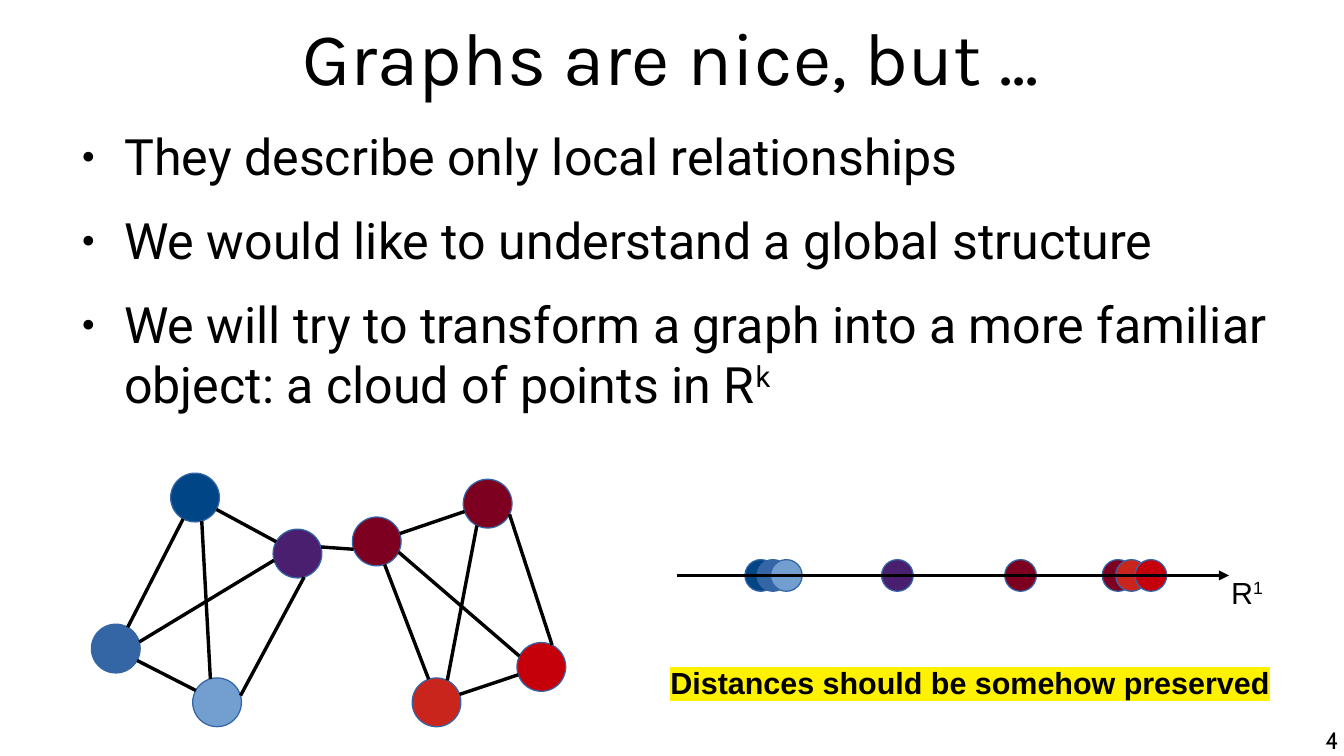
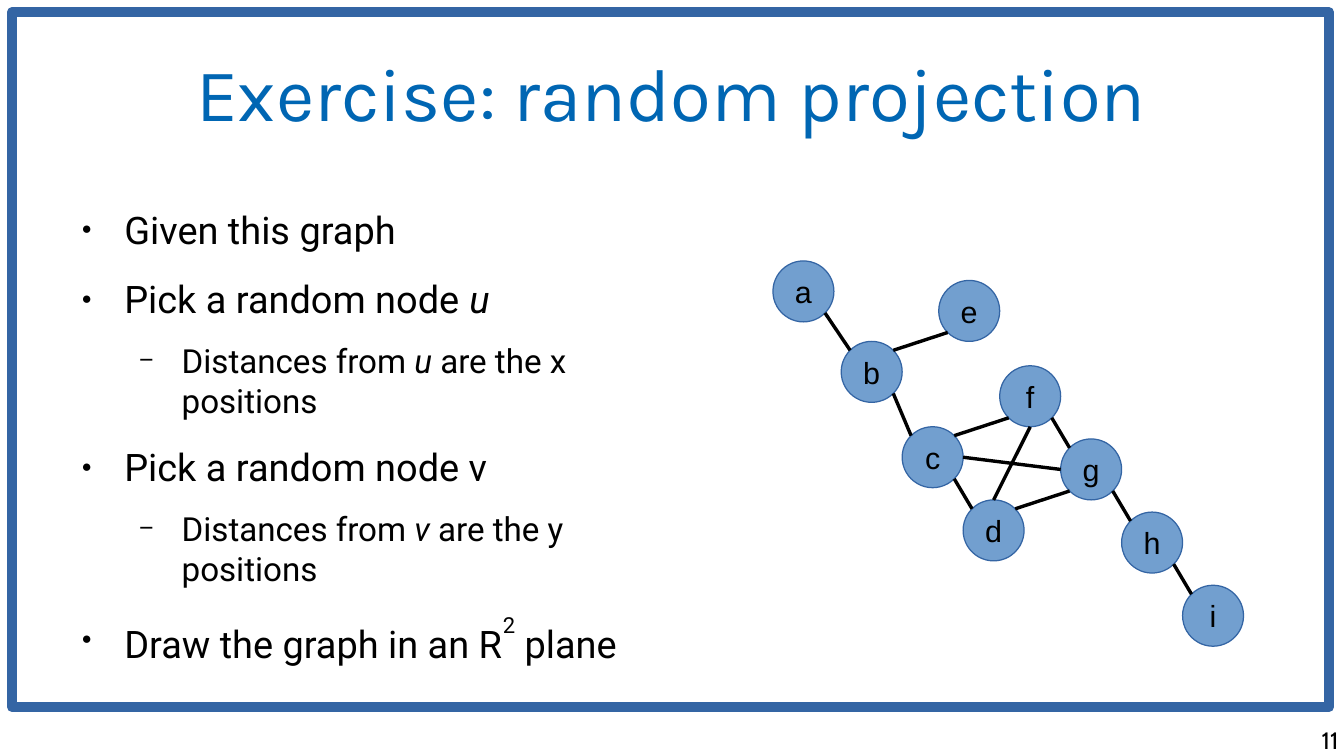
from math import cos, radians, sin

from lxml.etree import SubElement
from pptx import Presentation
from pptx.dml.color import RGBColor
from pptx.enum.shapes import MSO_CONNECTOR, MSO_SHAPE
from pptx.enum.text import MSO_ANCHOR, MSO_AUTO_SIZE, PP_ALIGN
from pptx.oxml.ns import qn
from pptx.util import Pt

COLORS = {
    "black": "000000", "heading": "0066B3", "highlight": "FFF200",
    "navy": "004586", "blue": "3465A4", "sky": "729FCF", "purple": "4B1F6F",
    "wine": "7E0021", "brick": "CA251C", "red": "C5000B",
}
TITLE_FONT = {"name": "Karla", "size": Pt(44)}
BODY_FONT = {"name": "Roboto"}
LABEL_FONT = {"name": "Arial", "size": Pt(18)}
NUMBER_FONT = {"name": "Cabin", "size": Pt(14)}

NO_INSETS = dict.fromkeys(
    ("margin_left", "margin_top", "margin_right", "margin_bottom"), 0)
LABEL_FRAME = {"word_wrap": False, "auto_size": MSO_AUTO_SIZE.SHAPE_TO_FIT_TEXT}
NODE_FRAME = {"word_wrap": False, "vertical_anchor": MSO_ANCHOR.MIDDLE}
TITLE_FRAME = {**NO_INSETS, "vertical_anchor": MSO_ANCHOR.MIDDLE,
               "auto_size": MSO_AUTO_SIZE.NONE}
BODY_FRAME = {**NO_INSETS, "vertical_anchor": MSO_ANCHOR.TOP,
              "auto_size": MSO_AUTO_SIZE.NONE}
NUMBER_FRAME = {**NO_INSETS, "word_wrap": True}

CONTENT_LEFT, CONTENT_WIDTH = 39.6, 714.2
HANGING_INDENT = 25.2
# Per list level: text margin, space before, bullet, bullet size in percent
LEVELS = [(33.8, 14.1, "●", 45), (67.7, 11.3, "−", 75)]
SITES = {"E": 0, "SE": 45, "S": 90, "SW": 135,
         "W": 180, "NW": 225, "N": 270, "NE": 315}

ITALIC = {"italic": True}

# Clusters: rotation in degrees, then name: (centre x, centre y, colour)
CLUSTERS = [
    (29.1, {"p": (115.2, 293.8, "navy"), "q": (175.7, 326.9, "purple"),
            "r": (128.2, 414.7, "sky"), "s": (68.4, 383.0, "blue")}),
    (-18.8, {"t": (222.5, 319.7, "wine"), "u": (288.0, 297.4, "wine"),
             "v": (319.7, 393.8, "red"), "w": (257.8, 414.7, "brick")}),
]
CLUSTER_EDGES = """
    r NW p SE, p E q W, p S s N, q SE r NE, r W s E, s NE q SW, q NE t W,
    v NW t SE, t E u W, t S w N, u SE v NE, v W w E, w NE u SW"""
AXIS_Y = 339.8
AXIS_POINTS = [(449.3, "navy"), (456.5, "blue"), (464.4, "sky"),
               (530, "purple"), (602.7, "wine"), (660.3, "wine"),
               (668.2, "brick"), (679.7, "red")]

LETTER_NODES = {
    "a": (474.5, 172.1), "b": (514.8, 219.6), "c": (550.8, 270),
    "d": (586.8, 313.2), "e": (572.4, 183.6), "f": (608.4, 234),
    "g": (644.4, 277.2), "h": (680.4, 320.4), "i": (716.4, 363.6),
}
LETTER_EDGES = """
    a SE b NW, b NE e SW, b SE c NW, c NE f SW, d NE g SW, g SE h NW,
    h SE i NW, f SE g NW, c SE d NW, c E g W, f S d N"""


def color(name):
    return RGBColor.from_string(COLORS[name])


def apply_format(target, values):
    for name, value in values.items():
        setattr(target, name, value)


def add_run(paragraph, text, font_format, color_name="black", baseline=0):
    run = paragraph.add_run()
    run.text = text
    apply_format(run.font, font_format)
    run.font.color.rgb = color(color_name)
    if baseline:
        run._r.get_or_add_rPr().set("baseline", str(baseline * 1000))
    return run


def highlight(run):
    properties = run._r.get_or_add_rPr()
    mark = SubElement(properties, qn("a:highlight"))
    SubElement(mark, qn("a:srgbClr"), val=COLORS["highlight"])
    properties.find(qn("a:latin")).addprevious(mark)


def place(shape, left, top, width, height):
    apply_format(shape, {"left": Pt(left), "top": Pt(top),
                         "width": Pt(width), "height": Pt(height)})


def set_title(slide, text, height, color_name="black"):
    title = slide.shapes.title
    place(title, CONTENT_LEFT, 0.7, CONTENT_WIDTH, height)
    apply_format(title.text_frame, TITLE_FRAME)
    paragraph = title.text_frame.paragraphs[0]
    paragraph.alignment = PP_ALIGN.CENTER
    add_run(paragraph, text, TITLE_FONT, color_name)


def format_list_item(paragraph, level):
    margin, space_before, bullet, bullet_size = LEVELS[level]
    apply_format(paragraph, {"level": level, "space_before": Pt(space_before),
                             "space_after": Pt(0), "line_spacing": 1.0})
    properties = paragraph._p.get_or_add_pPr()
    properties.set("marL", str(Pt(margin)))
    properties.set("indent", str(-Pt(HANGING_INDENT)))
    bullet_color = SubElement(properties, qn("a:buClr"))
    SubElement(bullet_color, qn("a:srgbClr"), val=COLORS["black"])
    SubElement(properties, qn("a:buSzPct"), val=str(bullet_size * 1000))
    SubElement(properties, qn("a:buChar"), char=bullet)


def set_body(slide, top, width, height, sizes, items):
    """Fill the body with items (level, runs); a run is (text, format, baseline)."""
    body = slide.placeholders[1]
    place(body, CONTENT_LEFT, top, width, height)
    frame = body.text_frame
    apply_format(frame, BODY_FRAME)
    for index, (level, runs) in enumerate(items):
        paragraph = frame.add_paragraph() if index else frame.paragraphs[0]
        format_list_item(paragraph, level)
        for text, extra, baseline in runs:
            font_format = {**BODY_FONT, "size": Pt(sizes[level]), **extra}
            add_run(paragraph, text, font_format, baseline=baseline)


def add_text_box(slide, left, top, width, height, frame_format):
    """Add an empty text box and return its first paragraph."""
    box = slide.shapes.add_textbox(Pt(left), Pt(top), Pt(width), Pt(height))
    apply_format(box.text_frame, frame_format)
    return box.text_frame.paragraphs[0]


def add_slide_number(slide, number):
    paragraph = add_text_box(slide, 605.5, 428.4, 185, 18, NUMBER_FRAME)
    paragraph.alignment = PP_ALIGN.RIGHT
    add_run(paragraph, str(number), NUMBER_FONT)


def add_node(slide, x, y, diameter, fill, rotation=0, label=None):
    node = slide.shapes.add_shape(
        MSO_SHAPE.OVAL, Pt(x - diameter / 2), Pt(y - diameter / 2),
        Pt(diameter), Pt(diameter))
    node.shadow.inherit = False
    node.rotation = rotation
    node.fill.solid()
    node.fill.fore_color.rgb = color(fill)
    node.line.color.rgb = color("blue")
    node.line.width = Pt(0)
    if label:
        apply_format(node.text_frame, NODE_FRAME)
        paragraph = node.text_frame.paragraphs[0]
        paragraph.alignment = PP_ALIGN.CENTER
        add_run(paragraph, label, LABEL_FONT)


def add_line(slide, start, end, arrow=False):
    line = slide.shapes.add_connector(
        MSO_CONNECTOR.STRAIGHT, *(Pt(value) for value in (*start, *end)))
    line.line.color.rgb = color("black")
    line.line.width = Pt(0)
    properties = line._element.spPr
    SubElement(properties, qn("a:effectLst"))
    if arrow:
        SubElement(properties.find(qn("a:ln")), qn("a:tailEnd"), type="triangle")


def site_point(node, site, radius):
    """Return the point on the rim of node (x, y, rotation) at a compass site."""
    x, y, rotation = node
    angle = radians(SITES[site] + rotation)
    return x + radius * cos(angle), y + radius * sin(angle)


def add_edges(slide, nodes, edges, diameter):
    for edge in edges.split(","):
        first, first_site, second, second_site = edge.split()
        add_line(slide, site_point(nodes[first], first_site, diameter / 2),
                 site_point(nodes[second], second_site, diameter / 2))


def add_frame(slide):
    frame = slide.shapes.add_shape(
        MSO_SHAPE.RECTANGLE, Pt(7.2), Pt(7.2), Pt(777.6), Pt(410.4))
    frame.shadow.inherit = False
    frame.fill.background()
    frame.line.color.rgb = color("blue")
    frame.line.width = Pt(6)
    SubElement(frame._element.spPr.find(qn("a:ln")), qn("a:round"))


def add_cluster_graph(slide, diameter=28.8):
    nodes = {}
    for rotation, members in CLUSTERS:
        for name, (x, y, fill) in members.items():
            nodes[name] = (x, y, rotation)
            add_node(slide, x, y, diameter, fill, rotation)
    add_edges(slide, nodes, CLUSTER_EDGES, diameter)


def add_axis(slide):
    for x, fill in AXIS_POINTS:
        add_node(slide, x, AXIS_Y, 18.7, fill)
    add_line(slide, (399.6, AXIS_Y), (725.8, AXIS_Y), arrow=True)
    paragraph = add_text_box(slide, 720, 335.5, 33.1, 27.4, LABEL_FRAME)
    add_run(paragraph, "R", LABEL_FONT)
    add_run(paragraph, "1", LABEL_FONT, baseline=33)


def add_letter_graph(slide, diameter=36):
    for letter, (x, y) in LETTER_NODES.items():
        add_node(slide, x, y, diameter, "sky", label=letter)
    nodes = {letter: (x, y, 0) for letter, (x, y) in LETTER_NODES.items()}
    add_edges(slide, nodes, LETTER_EDGES, diameter)


def build_graphs_slide(slide):
    set_title(slide, "Graphs are nice, but ...", 64)
    add_cluster_graph(slide)
    add_axis(slide)
    paragraph = add_text_box(slide, 388.8, 388.8, 368.6, 27.4, LABEL_FRAME)
    highlight(add_run(paragraph, "Distances should be somehow preserved",
                      {**LABEL_FONT, "bold": True}))
    set_body(slide, 74.2, CONTENT_WIDTH, 173.5, [29.6], [
        (0, [("They describe only local relationships", {}, 0)]),
        (0, [("We would like to understand a global structure", {}, 0)]),
        (0, [("We will try to transform a graph into a more familiar "
              "object: a cloud of points in R", {}, 0), ("k", {}, 33)]),
    ])
    add_slide_number(slide, 4)


def build_exercise_slide(slide):
    set_title(slide, "Exercise: random projection", 107.3, "heading")
    set_body(slide, 121.7, 356.4, 259.2, [22.4, 19.6], [
        (0, [("Given this graph", {}, 0)]),
        (0, [("Pick a random node ", {}, 0), ("u", ITALIC, 0)]),
        (1, [("Distances from ", {}, 0), ("u", ITALIC, 0),
             (" are the x positions", {}, 0)]),
        (0, [("Pick a random node v", {}, 0)]),
        (1, [("Distances from ", {}, 0), ("v", ITALIC, 0),
             (" are the y positions", {}, 0)]),
        (0, [("Draw the graph in an R", {}, 0), ("2", {}, 66),
             (" plane", {}, 0)]),
    ])
    add_frame(slide)
    add_letter_graph(slide)
    add_slide_number(slide, 11)


def main():
    presentation = Presentation()
    presentation.slide_width, presentation.slide_height = Pt(793.7), Pt(446.4)
    layout = presentation.slide_layouts.get_by_name("Title and Content")
    for build in (build_graphs_slide, build_exercise_slide):
        build(presentation.slides.add_slide(layout))
    presentation.save("out.pptx")


if __name__ == "__main__":
    main()
